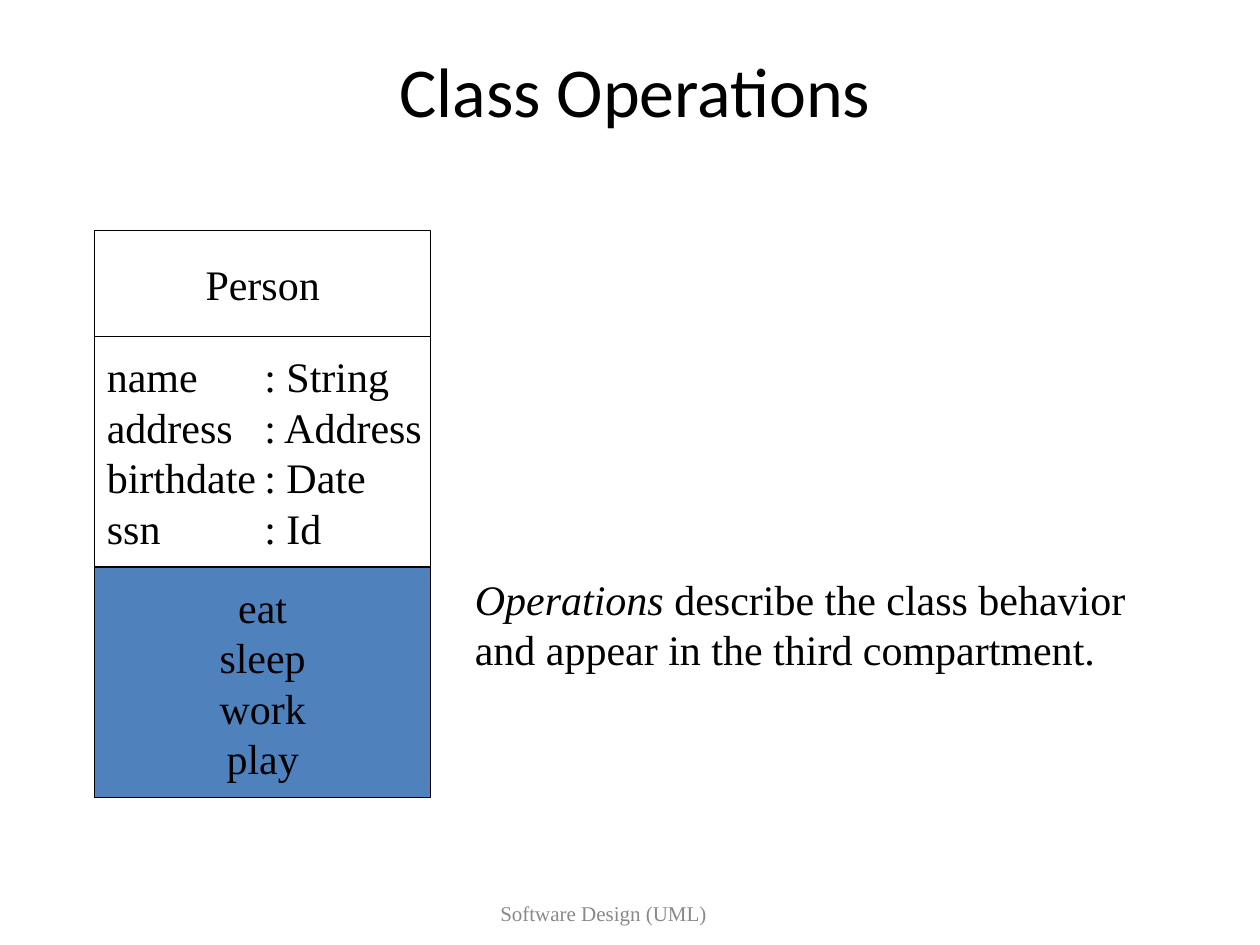
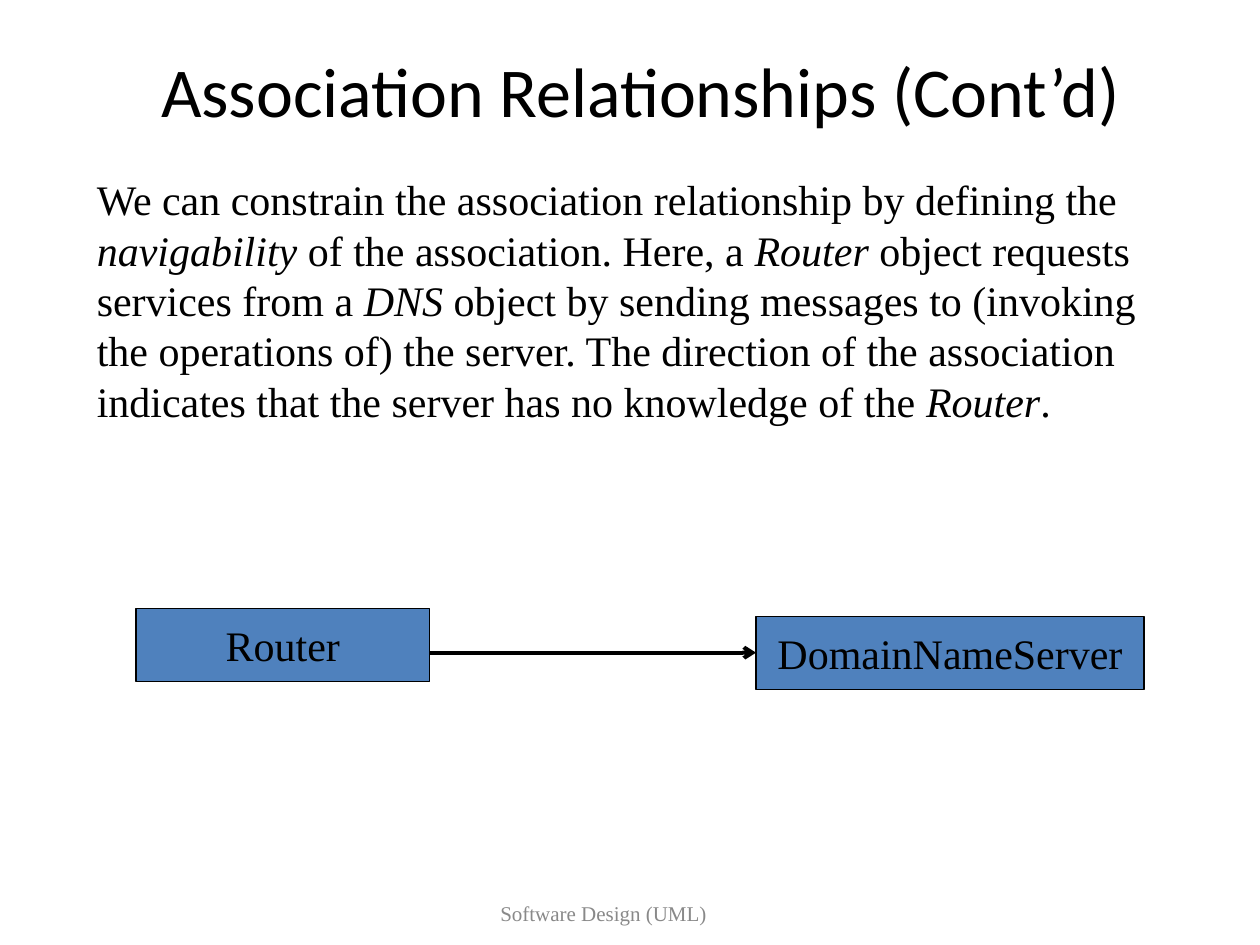
"""Build two UML slides: class operations and association navigability."""
from lxml.etree import SubElement
from pptx import Presentation
from pptx.dml.color import RGBColor
from pptx.enum.shapes import MSO_CONNECTOR, MSO_SHAPE
from pptx.enum.text import MSO_ANCHOR, PP_ALIGN
from pptx.oxml.ns import qn
from pptx.util import Inches, Pt

BLACK = RGBColor(0x00, 0x00, 0x00)
WHITE = RGBColor(0xFF, 0xFF, 0xFF)
BLUE = RGBColor(0x4F, 0x81, 0xBD)
GRAY = RGBColor(0x89, 0x89, 0x89)
TITLE_FONT = "Calibri"
BODY_FONT = "Times New Roman"

FOOTER = "Software Design (UML)"
FOOTER_AREA = (2.58, 7, 4.42, 0.5)

OPERATIONS_TITLE = "Class Operations"
CLASS_LEFT, CLASS_TOP, CLASS_WIDTH = 0.75, 1.83, 2.67
TYPE_TAB = 1.25
COMPARTMENTS = [
    {"lines": ["Person"], "height": 0.84, "fill": WHITE},
    {"lines": ["name\t: String", "address\t: Address", "birthdate\t: Date", "ssn\t: Id"],
     "height": 1.83, "fill": WHITE,
     "format": {"align": PP_ALIGN.LEFT, "tab": TYPE_TAB, "right_inset": 0}},
    {"lines": ["eat", "sleep", "work", "play"], "height": 1.83, "fill": BLUE},
]
OPERATIONS_NOTE = ["*Operations* describe the class behavior",
                   "and appear in the third compartment."]

ASSOCIATION_TITLE = "Association Relationships (Cont’d)"
NAVIGABILITY = [
    "We can constrain the association relationship by defining the *navigability* of the "
    "association. Here, a *Router* object requests services from a *DNS* object by sending "
    "messages to (invoking the operations of) the server. The direction of the association "
    "indicates that the server has no knowledge of the *Router*."
]
ROUTER_AREA = (1.08, 4.83, 2.33, 0.58)
SERVER_AREA = (6, 4.89, 3.08, 0.58)


def write_text(shape, lines, *, size=24, font=BODY_FONT, color=BLACK, align=PP_ALIGN.LEFT,
               anchor=MSO_ANCHOR.TOP, tab=None, right_inset=0.1):
    """Fill a shape with lines in which *asterisks* mark italics."""
    frame = shape.text_frame
    frame.word_wrap = True
    frame.vertical_anchor = anchor
    frame.margin_right = Inches(right_inset)
    for index, line in enumerate(lines):
        paragraph = frame.add_paragraph() if index else frame.paragraphs[0]
        paragraph.alignment = align
        if tab:
            tabs = SubElement(paragraph._p.get_or_add_pPr(), qn("a:tabLst"))
            SubElement(tabs, qn("a:tab"), pos=str(Inches(tab)), algn="l")
        for position, part in enumerate(line.split("*")):
            if part:
                run = paragraph.add_run()
                run.text = part
                run.font.name = font
                run.font.size = Pt(size)
                run.font.color.rgb = color
                run.font.italic = position % 2 == 1


def add_text(slide, area, lines, **text_format):
    """Add a text box."""
    box = slide.shapes.add_textbox(*map(Inches, area))
    write_text(box, lines, **text_format)


def add_box(shapes, area, lines, fill, **text_format):
    """Add an outlined rectangle with text in its middle."""
    box = shapes.add_shape(MSO_SHAPE.RECTANGLE, *map(Inches, area))
    box.shadow.inherit = False
    box.fill.solid()
    box.fill.fore_color.rgb = fill
    box.line.color.rgb = BLACK
    box.line.width = Pt(0.75)
    write_text(box, lines, **{"align": PP_ALIGN.CENTER, "anchor": MSO_ANCHOR.MIDDLE,
                              **text_format})
    return box


def add_arrow(slide, source, target):
    """Draw a level arrow from the right side of source to the left side of target."""
    level = target.top + target.height // 2
    arrow = slide.shapes.add_connector(MSO_CONNECTOR.STRAIGHT, source.left + source.width,
                                       level, target.left, level)
    arrow.end_connect(target, 1)
    arrow.line.color.rgb = BLACK
    arrow.line.width = Pt(2.25)
    SubElement(arrow.line._get_or_add_ln(), qn("a:tailEnd"), type="arrow")
    SubElement(arrow._element.spPr, qn("a:effectLst"))


def add_slide(presentation, title, left, width):
    """Add a slide with its title and the shared footer."""
    slide = presentation.slides.add_slide(presentation.slide_layouts[5])
    heading = slide.shapes.title
    heading.left, heading.top, heading.width, heading.height = map(
        Inches, (left, 0.42, width, 0.58))
    centered = {"align": PP_ALIGN.CENTER, "anchor": MSO_ANCHOR.MIDDLE}
    write_text(heading, [title], size=40, font=TITLE_FONT, **centered)
    add_text(slide, FOOTER_AREA, [FOOTER], size=12, color=GRAY, **centered)
    return slide


def build_operations(presentation):
    """Build the class with its three compartments."""
    slide = add_slide(presentation, OPERATIONS_TITLE, 0.75, 8.58)
    group = slide.shapes.add_group_shape()
    top = CLASS_TOP
    for compartment in COMPARTMENTS:
        area = (CLASS_LEFT, top, CLASS_WIDTH, compartment["height"])
        add_box(group.shapes, area, compartment["lines"], compartment["fill"],
                **compartment.get("format", {}))
        top += compartment["height"]
    add_text(slide, (3.67, 4.5, 5.45, 0.9), OPERATIONS_NOTE)


def build_association(presentation):
    """Build the navigable association."""
    slide = add_slide(presentation, ASSOCIATION_TITLE, 0.67, 8.83)
    add_text(slide, (0.67, 1.33, 8.87, 2.1), NAVIGABILITY)
    router = add_box(slide.shapes, ROUTER_AREA, ["Router"], BLUE)
    server = add_box(slide.shapes, SERVER_AREA, ["DomainNameServer"], BLUE)
    add_arrow(slide, router, server)


def main():
    """Create and save the presentation."""
    presentation = Presentation()
    presentation.slide_width = Inches(10)
    presentation.slide_height = Inches(7.5)
    build_operations(presentation)
    build_association(presentation)
    presentation.save("out.pptx")


if __name__ == "__main__":
    main()
